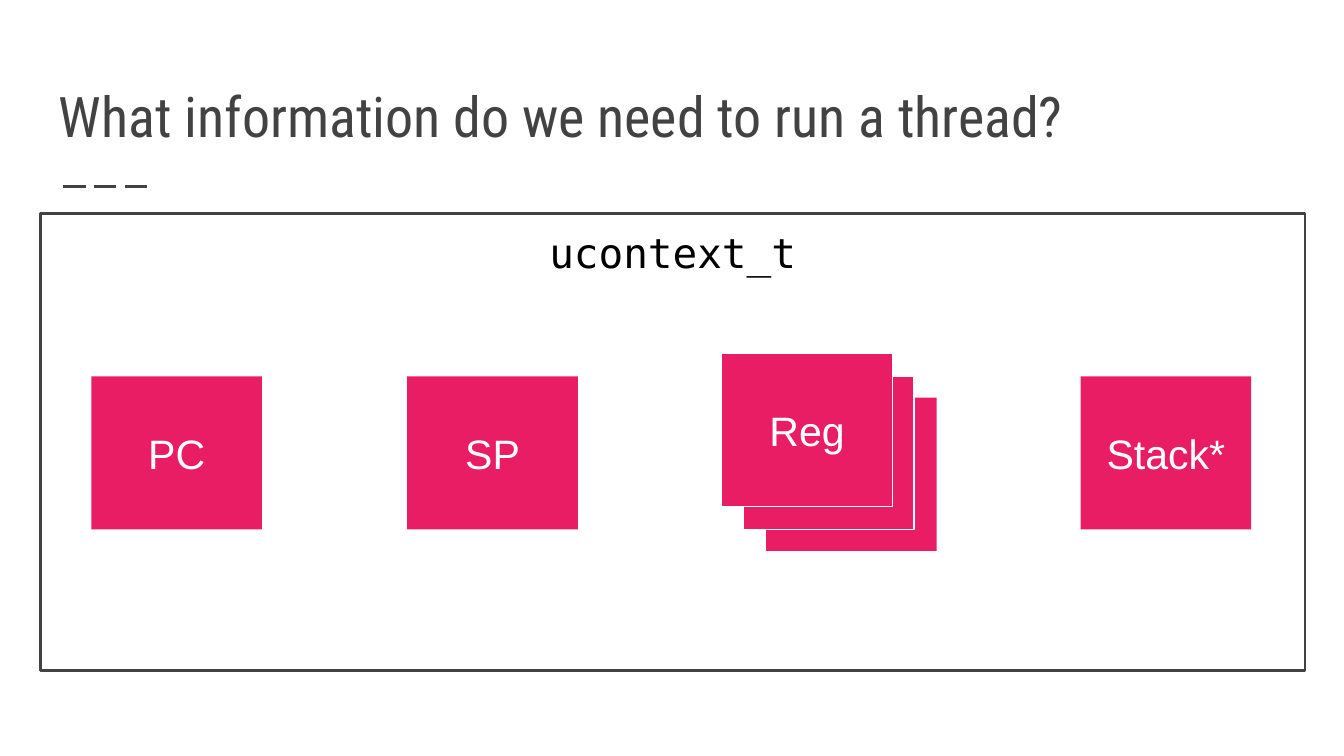
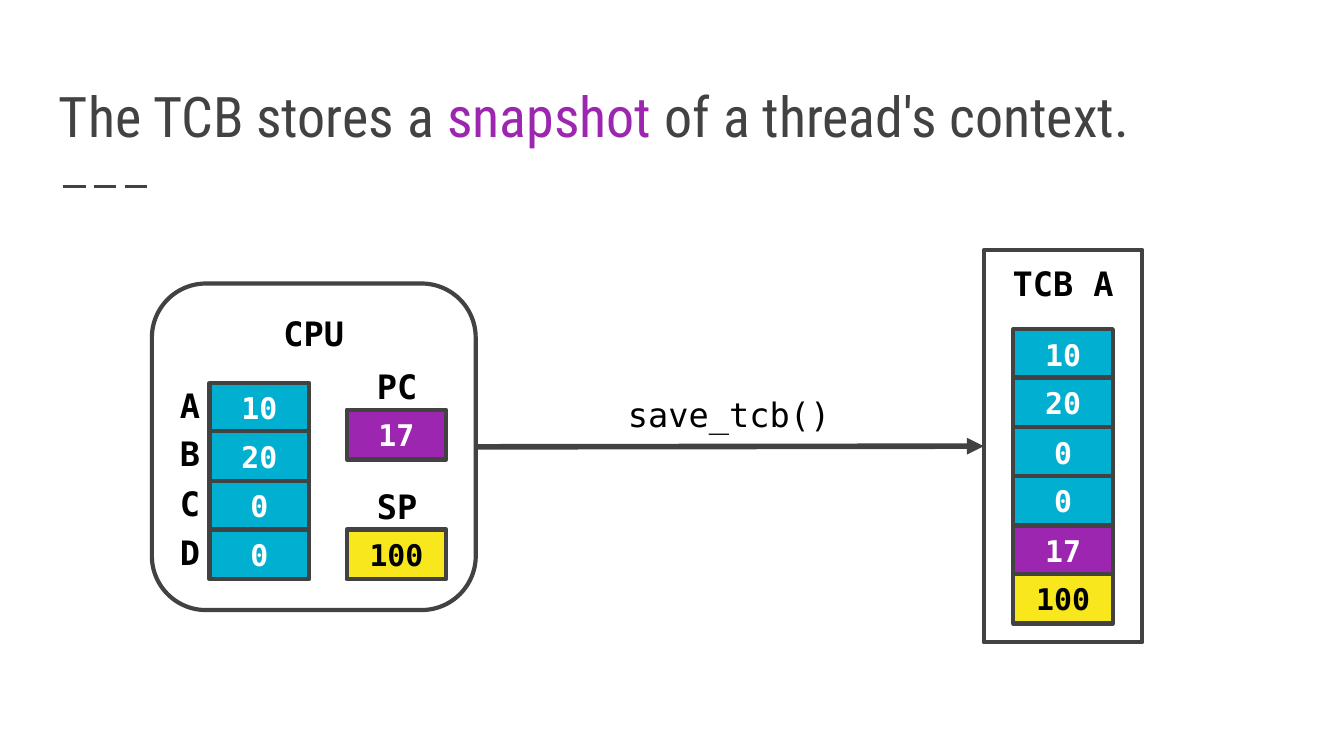
from dataclasses import dataclass
from typing import Any, NamedTuple, Optional

from lxml import etree
from pptx import Presentation
from pptx.dml.color import RGBColor
from pptx.enum import dml, shapes, text
from pptx.oxml import ns
from pptx import util as u

PX = 9144  # EMU per px, 100 px to the inch


@dataclass(frozen=True)
class Theme:
    ink: str = "424242"
    black: str = "000000"
    white: str = "FFFFFF"
    pink: str = "E91D63"
    cyan: str = "01AFD1"
    purple: str = "9C26B0"
    yellow: str = "F8E71C"
    title_font: str = "Roboto Condensed"
    body_font: str = "Arial"
    code_font: str = "DejaVu Sans Mono"
    title_size: int = 30
    field_size: int = 22
    label_size: int = 18
    value_size: int = 16
    hairline: float = 0.75
    thin: float = 1.5
    medium: float = 2.25
    thick: float = 3


THEME = Theme()


class Box(NamedTuple):
    left: int
    top: int
    width: int
    height: int


class Style(NamedTuple):
    font: str
    size: int
    color: str
    bold: bool = False


class Run(NamedTuple):
    words: str
    style: Style


class Look(NamedTuple):
    fill: Optional[str] = None
    line: Optional[str] = None
    weight: float = 0


class Value(NamedTuple):
    words: str
    fill: str
    color: str = THEME.white


TITLE = Style(THEME.title_font, THEME.title_size, THEME.ink)
STRUCT = Style(THEME.code_font, THEME.field_size, THEME.black)
FIELD = Style(THEME.body_font, THEME.field_size, THEME.white)
LABEL = Style(THEME.code_font, THEME.label_size, THEME.black, True)
CALL = Style(THEME.code_font, THEME.label_size, THEME.black)

REGISTERS = [Value(words, THEME.cyan) for words in ("10", "20", "0", "0")]
PC = Value("17", THEME.purple)
SP = Value("100", THEME.yellow, THEME.black)

TOP, MIDDLE, BOTTOM = text.MSO_ANCHOR.TOP, text.MSO_ANCHOR.MIDDLE, text.MSO_ANCHOR.BOTTOM
LEFT, CENTER = text.PP_ALIGN.LEFT, text.PP_ALIGN.CENTER
RECT, ROUNDED = shapes.MSO_SHAPE.RECTANGLE, shapes.MSO_SHAPE.ROUNDED_RECTANGLE


# Drawing helpers
def emu(box: Box) -> list[u.Emu]:
    return [u.Emu(length * PX) for length in box]


def rgb(color: str) -> RGBColor:
    return RGBColor.from_string(color)


def write(shape: Any, runs: list[Run], anchor: Any, align: Any) -> None:
    frame = shape.text_frame
    frame.word_wrap = True
    frame.vertical_anchor = anchor
    frame.margin_left = frame.margin_right = u.Emu(10 * PX)
    frame.margin_top = frame.margin_bottom = u.Emu(10 * PX)
    paragraph = frame.paragraphs[0]
    paragraph.alignment = align
    for words, style in runs:
        run = paragraph.add_run()
        run.text = words
        run.font.name = style.font
        run.font.size = u.Pt(style.size)
        run.font.bold = style.bold
        run.font.color.rgb = rgb(style.color)


def add_label(parent: Any, box: Box, runs: list[Run],
              anchor: Any = MIDDLE, align: Any = CENTER) -> None:
    write(parent.shapes.add_textbox(*emu(box)), runs, anchor, align)


def add_block(parent: Any, box: Box, run: Run, look: Look, anchor: Any = MIDDLE,
              rounding: Optional[float] = None) -> Any:
    block = parent.shapes.add_shape(RECT if rounding is None else ROUNDED, *emu(box))
    if rounding is not None:
        block.adjustments[0] = rounding
    block.shadow.inherit = False
    if look.fill:
        block.fill.solid()
        block.fill.fore_color.rgb = rgb(look.fill)
    else:
        block.fill.background()
    if look.line:
        block.line.color.rgb = rgb(look.line)
        block.line.width = u.Pt(look.weight)
    else:
        block.line.fill.background()
    write(block, [run], anchor, CENTER)
    return block


def add_line(slide: Any, x1: int, y1: int, x2: int, y2: int, weight: float) -> Any:
    line = slide.shapes.add_connector(
        shapes.MSO_CONNECTOR.STRAIGHT, *(u.Emu(v * PX) for v in (x1, y1, x2, y2)))
    line.line.color.rgb = rgb(THEME.ink)
    line.line.width = u.Pt(weight)
    etree.SubElement(line._element.spPr, ns.qn("a:effectLst"))
    return line


def add_values(parent: Any, left: int, top: int, values: list[Value]) -> None:
    """Stack value cells whose borders overlap slightly."""
    for row, value in enumerate(values):
        style = Style(THEME.code_font, THEME.value_size, value.color, True)
        add_block(parent, Box(left, top + row * 73 // 2, 74, 37),
                  Run(value.words, style), Look(value.fill, THEME.ink, THEME.medium))


def new_slide(deck: Any, title: list[Run]) -> Any:
    slide = deck.slides.add_slide(deck.slide_layouts[6])
    divider = add_line(slide, 47, 139, 114, 139, THEME.thin)
    divider.line.dash_style = dml.MSO_LINE.LONG_DASH
    add_label(slide, Box(34, 41, 932, 80), title, BOTTOM, LEFT)
    return slide


# Slide 1: fields of the context structure
def build_context(deck: Any) -> None:
    slide = new_slide(deck, [Run("What information do we need to run a thread?", TITLE)])
    add_block(slide, Box(30, 159, 941, 340), Run("ucontext_t", STRUCT),
              Look(line=THEME.ink, weight=THEME.thin), TOP)
    plain = Look(THEME.pink)
    outlined = Look(THEME.pink, THEME.white, THEME.hairline)

    def add_field(parent: Any, left: int, top: int, words: str, look: Look) -> None:
        add_block(parent, Box(left, top, 127, 114), Run(words, FIELD), look)

    for left, words in ((68, "PC"), (303, "SP"), (804, "Stack*")):
        add_field(slide, left, 280, words, plain)
    register_pile = slide.shapes.add_group_shape()
    for left, top, look in ((570, 296, plain), (553, 280, outlined), (537, 263, outlined)):
        add_field(register_pile, left, top, "Reg", look)


# Slide 2: saving the processor state
def build_snapshot(deck: Any) -> None:
    slide = new_slide(deck, [
        Run("The TCB stores a ", TITLE),
        Run("snapshot", TITLE._replace(color=THEME.purple)),
        Run(" of a thread's context.", TITLE),
    ])
    outline = Look(line=THEME.ink, weight=THEME.medium)

    # Processor with its registers
    cpu = slide.shapes.add_group_shape()
    cpu_frame = add_block(cpu, Box(113, 211, 241, 243), Run("CPU", LABEL),
                          outline, TOP, 0.167)
    add_values(cpu, 156, 285, REGISTERS)
    for row, name in enumerate("ABCD"):
        add_label(cpu, Box(124, 283 + row * 73 // 2, 33, 37), [Run(name, LABEL)], align=LEFT)
    for name, value, top in (("PC", PC, 305), ("SP", SP, 394)):
        add_values(cpu, 258, top, [value])
        add_label(cpu, Box(270, top - 36, 51, 37), [Run(name, LABEL)])

    # Control block holding the saved values
    tcb = slide.shapes.add_group_shape()
    add_values(tcb, 754, 245, [*REGISTERS, PC, SP])
    tcb_frame = add_block(tcb, Box(732, 186, 118, 292), Run("TCB A", LABEL),
                          outline, TOP, 0)

    # Save call
    save = add_line(slide, 354, 332, 732, 332, THEME.thick)
    save.begin_connect(cpu_frame, 3)
    save.end_connect(tcb_frame, 1)
    etree.SubElement(save.line._get_or_add_ln(), ns.qn("a:tailEnd"), type="triangle")
    add_label(slide, Box(440, 283, 205, 49), [Run("save_tcb()", CALL)], TOP)


def main() -> None:
    deck = Presentation()
    deck.slide_width = u.Emu(1000 * PX)
    deck.slide_height = u.Emu(1000 * PX * 9 // 16)
    build_context(deck)
    build_snapshot(deck)
    deck.save("out.pptx")


if __name__ == "__main__":
    main()
